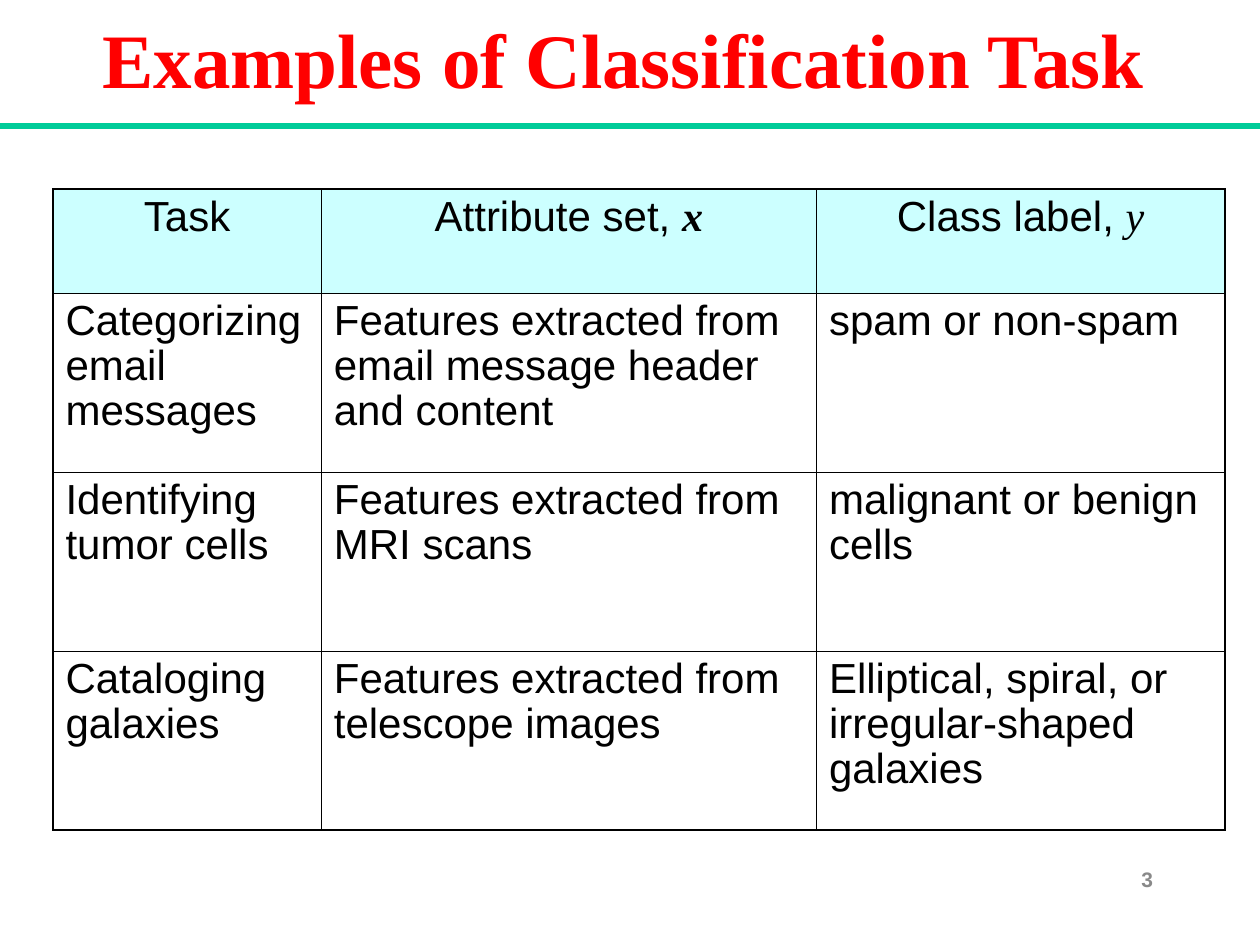
from dataclasses import dataclass

from lxml import etree
from pptx import Presentation
from pptx.dml.color import RGBColor
from pptx.enum.shapes import MSO_CONNECTOR
from pptx.enum.text import MSO_ANCHOR, PP_ALIGN
from pptx.oxml.ns import qn
from pptx.slide import Slide
from pptx.table import _Cell
from pptx.util import Inches, Pt

CENTER, LEFT, RIGHT = PP_ALIGN.CENTER, PP_ALIGN.LEFT, PP_ALIGN.RIGHT
MIDDLE, TOP = MSO_ANCHOR.MIDDLE, MSO_ANCHOR.TOP
STRAIGHT = MSO_CONNECTOR.STRAIGHT
TITLE_ONLY = 5


@dataclass(frozen=True)
class Theme:
    title: str = "FF0000"
    rule: str = "00CC99"
    ink: str = "000000"
    header: str = "CCFFFF"
    number: str = "898989"
    sans: str = "Arial"
    serif: str = "Times New Roman"
    title_size: float = 44
    cell_size: float = 24
    number_size: float = 12
    rule_width: float = 3
    outer_border: float = 1.08
    inner_border: float = 0.45


@dataclass(frozen=True)
class Heading:
    label: str
    symbol: str = ""
    symbol_bold: bool = False


@dataclass(frozen=True)
class Example:
    task: str
    attributes: str
    classes: str


THEME = Theme()
HEADINGS = [
    Heading("Task"),
    Heading("Attribute set, ", "x", symbol_bold=True),
    Heading("Class label, ", "y"),
]
EXAMPLES = [
    Example("Categorizing email messages",
            "Features extracted from email message header and content",
            "spam or non-spam"),
    Example("Identifying tumor cells",
            "Features extracted from MRI scans",
            "malignant or benign cells"),
    Example("Cataloging galaxies",
            "Features extracted from telescope images",
            "Elliptical, spiral, or irregular-shaped galaxies"),
]
COLUMN_WIDTHS = [2.13, 3.93, 3.24]
ROW_HEIGHTS = [0.83] + [1.42] * len(EXAMPLES)


def write(paragraph, text: str, *, size: float, color: str, font: str = THEME.sans,
          bold: bool = False, italic: bool = False, align=LEFT) -> None:
    paragraph.alignment = align
    run = paragraph.add_run()
    run.text = text
    run.font.name = font
    run.font.size = Pt(size)
    run.font.bold = bold
    run.font.italic = italic
    run.font.color.rgb = RGBColor.from_string(color)


def write_cell(cell: _Cell, text: str, **text_format) -> None:
    paragraph = cell.text_frame.paragraphs[0]
    paragraph.space_before = Pt(3)
    paragraph.space_after = Pt(4)
    paragraph.line_spacing = 0.96
    write(paragraph, text, size=THEME.cell_size, color=THEME.ink, **text_format)


def add_borders(cell: _Cell, row: int, column: int) -> None:
    outer_sides = {
        "a:lnL": column == 0,
        "a:lnR": column == len(COLUMN_WIDTHS) - 1,
        "a:lnT": row == 0,
        "a:lnB": row == len(ROW_HEIGHTS) - 1,
    }
    properties = cell._tc.get_or_add_tcPr()
    for side, is_outer in outer_sides.items():
        width = THEME.outer_border if is_outer else THEME.inner_border
        border = etree.SubElement(properties, qn(side), w=str(int(Pt(width))))
        fill = etree.SubElement(border, qn("a:solidFill"))
        etree.SubElement(fill, qn("a:srgbClr"), val=THEME.ink)


def add_title(slide: Slide, text: str) -> None:
    title = slide.shapes.title
    title.left, title.top = Inches(0.42), Inches(0.17)
    title.width, title.height = Inches(9.06), Inches(0.58)
    title.text_frame.vertical_anchor = MIDDLE
    write(title.text_frame.paragraphs[0], text, size=THEME.title_size,
          color=THEME.title, font=THEME.serif, bold=True, align=CENTER)


def add_examples(slide: Slide) -> None:
    table = slide.shapes.add_table(
        len(ROW_HEIGHTS), len(COLUMN_WIDTHS), Inches(0.42), Inches(1.5),
        Inches(sum(COLUMN_WIDTHS)), Inches(sum(ROW_HEIGHTS))).table
    table.first_row = False
    table.horz_banding = False
    for column, width in zip(table.columns, COLUMN_WIDTHS):
        column.width = Inches(width)
    for row, height in zip(table.rows, ROW_HEIGHTS):
        row.height = Inches(height)

    for row in range(len(ROW_HEIGHTS)):
        for column in range(len(COLUMN_WIDTHS)):
            cell = table.cell(row, column)
            add_borders(cell, row, column)
            if row == 0:
                cell.fill.solid()
                cell.fill.fore_color.rgb = RGBColor.from_string(THEME.header)
            else:
                cell.fill.background()

    for column, heading in enumerate(HEADINGS):
        cell = table.cell(0, column)
        write_cell(cell, heading.label, align=CENTER)
        if heading.symbol:
            write_cell(cell, heading.symbol, font=THEME.serif, italic=True,
                       bold=heading.symbol_bold, align=CENTER)
    for row, example in enumerate(EXAMPLES, start=1):
        entries = (example.task, example.attributes, example.classes)
        for column, entry in enumerate(entries):
            write_cell(table.cell(row, column), entry)


def add_slide_number(slide: Slide, number: str) -> None:
    frame = slide.shapes.add_textbox(
        Inches(7.17), Inches(6.83), Inches(2.08), Inches(0.5)).text_frame
    frame.word_wrap = True
    frame.vertical_anchor = TOP
    write(frame.paragraphs[0], number, size=THEME.number_size,
          color=THEME.number, bold=True, align=RIGHT)


def add_title_rule(slide: Slide) -> None:
    rule = slide.shapes.add_connector(
        STRAIGHT, Inches(0), Inches(1), Inches(10), Inches(1))
    rule.line.color.rgb = RGBColor.from_string(THEME.rule)
    rule.line.width = Pt(THEME.rule_width)
    etree.SubElement(rule._element.spPr, qn("a:effectLst"))


def main() -> None:
    presentation = Presentation()
    presentation.slide_width = Inches(10)
    presentation.slide_height = Inches(7.5)
    slide = presentation.slides.add_slide(presentation.slide_layouts[TITLE_ONLY])
    add_title(slide, "Examples of Classification Task")
    add_examples(slide)
    add_slide_number(slide, "3")
    add_title_rule(slide)
    presentation.save("out.pptx")


if __name__ == "__main__":
    main()
